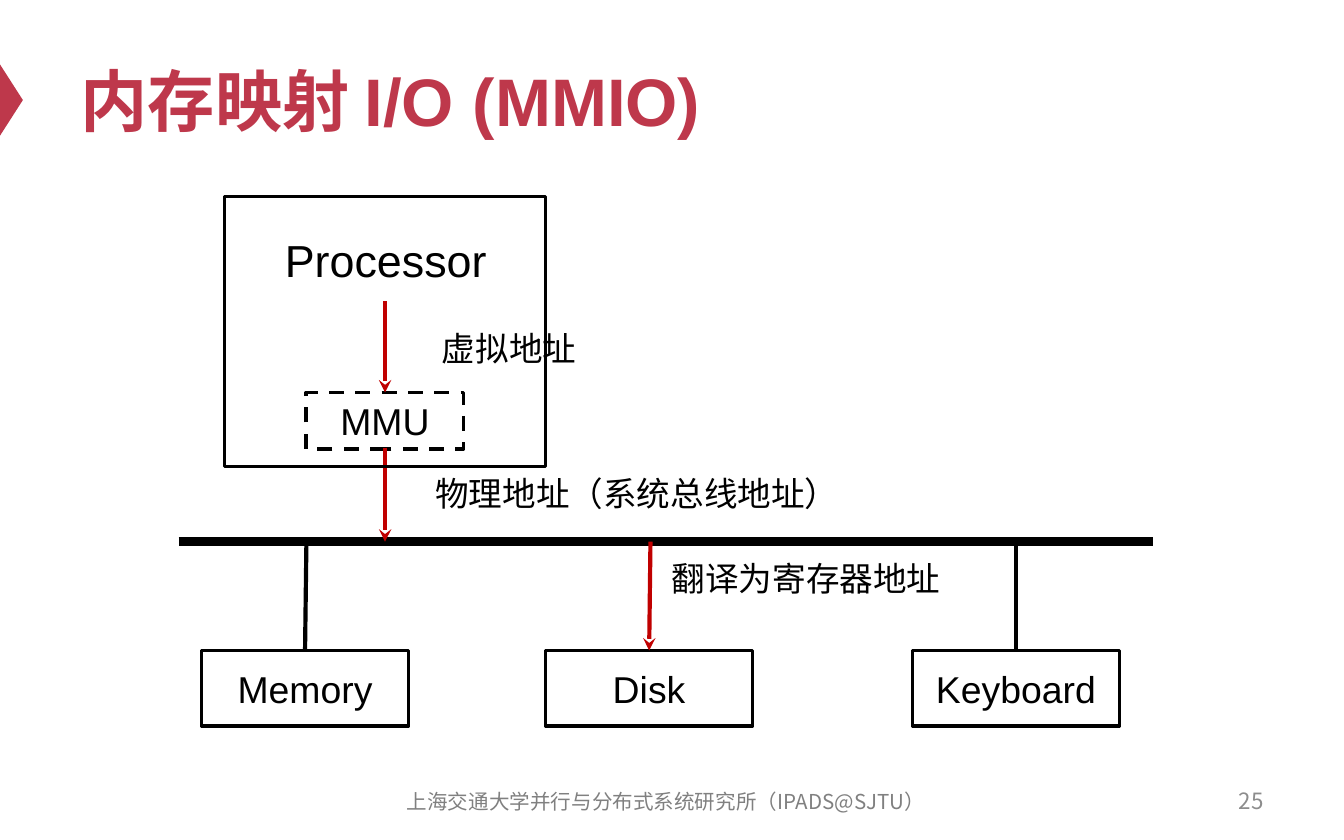
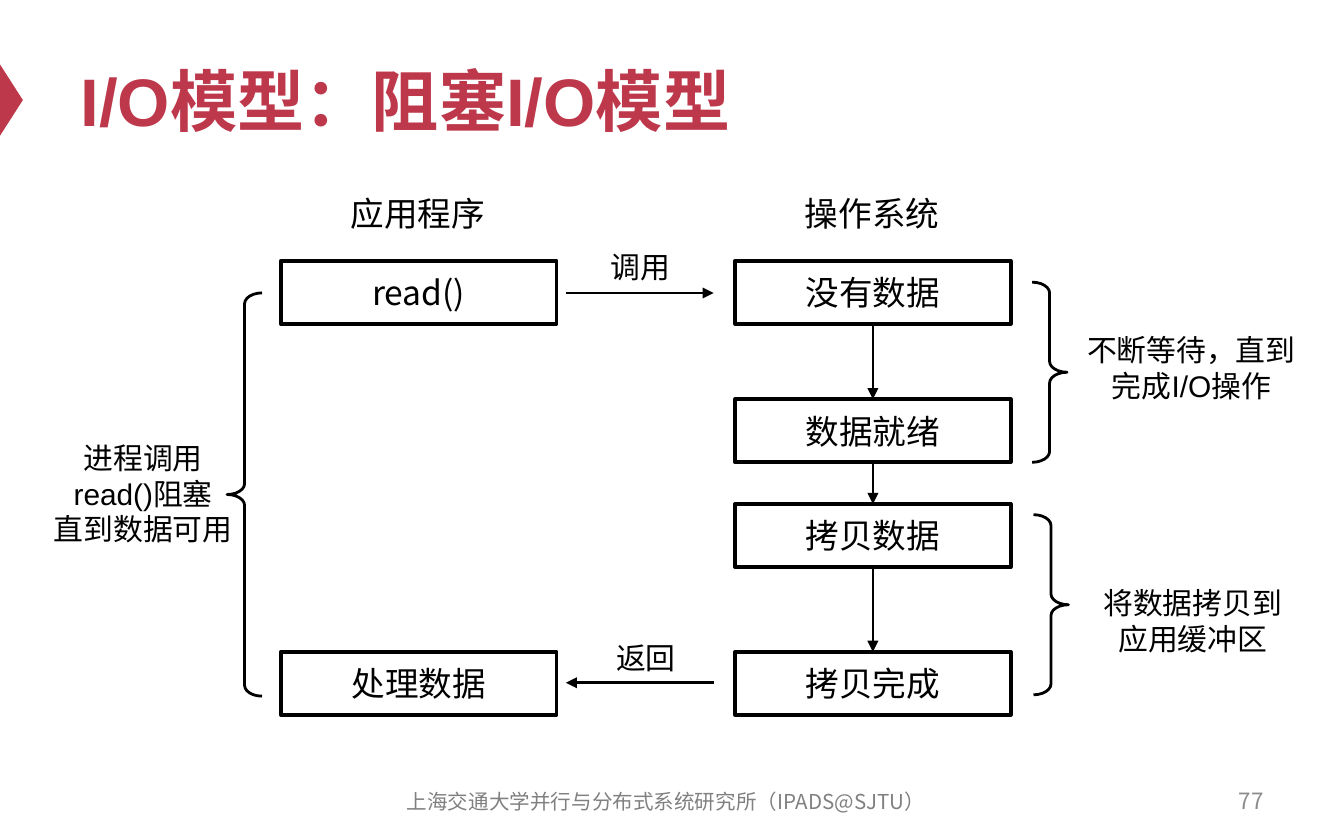
import pptx
import pptx.dml.color
import pptx.enum.dml
import pptx.enum.shapes
import pptx.enum.text
import pptx.oxml
import pptx.oxml.ns
import pptx.util

SHAPE = pptx.enum.shapes.MSO_SHAPE
ALIGN = pptx.enum.text.PP_ALIGN
ANCHOR = pptx.enum.text.MSO_ANCHOR

# The slide is a grid of square cells, 100 columns by 62.5 rows
CELL = 0.1
COLUMNS, ROWS = 100, 62.5

LATIN, CHINESE = "Arial", "Noto Sans CJK SC"
CRIMSON, RED, BLACK, WHITE = "BE384B", "C00000", "000000", "FFFFFF"
FOOTER_GRAY, NUMBER_GRAY = "808080", "8C8C8C"
FOOTER = "上海交通大学并行与分布式系统研究所（IPADS@SJTU）"


def cells(count):
    return pptx.util.Inches(count * CELL)


def paint(color_format, color):
    color_format.rgb = pptx.dml.color.RGBColor.from_string(color)


def add_xml(parent, tag, **attributes):
    element = pptx.oxml.parse_xml(f"<a:{tag} {pptx.oxml.ns.nsdecls('a')}/>")
    for name, value in attributes.items():
        element.set(name, value)
    parent.append(element)


def write(frame, text, size=18, color=BLACK, font=LATIN, bold=False,
          align=ALIGN.LEFT, anchor=ANCHOR.TOP, wrap=True):
    """Fill a text frame, one paragraph for each line of text."""
    frame.text = text
    frame.word_wrap = wrap
    frame.auto_size = pptx.enum.text.MSO_AUTO_SIZE.NONE
    frame.vertical_anchor = anchor
    for paragraph in frame.paragraphs:
        paragraph.alignment = align
        for run in paragraph.runs:
            run.font.size = pptx.util.Pt(size)
            run.font.bold = bold
            run.font.name = font
            paint(run.font.color, color)
            add_xml(run.font._element, "ea", typeface=CHINESE)


class Deck:
    """Holds the shared style and the slide being drawn."""

    def __init__(self):
        self.presentation = pptx.Presentation()
        self.presentation.slide_width = cells(COLUMNS)
        self.presentation.slide_height = cells(ROWS)
        self.slide = None

    def start(self, title, number):
        layout = self.presentation.slide_layouts[5]
        self.slide = self.presentation.slides.add_slide(layout)
        marker = self.shape(SHAPE.ISOSCELES_TRIANGLE, -1.8, 6.6, 5.3, 1.7, fill=CRIMSON)
        marker.rotation = 90
        heading = self.slide.shapes.title
        heading.left, heading.top = cells(5), cells(2.5)
        heading.width, heading.height = cells(90), cells(9.8)
        write(heading.text_frame, title, size=36, color=CRIMSON, bold=True,
              anchor=ANCHOR.MIDDLE)
        self.text(71.7, 57.9, 23.3, 3.3, str(number), size=12, color=NUMBER_GRAY,
                  font=CHINESE, align=ALIGN.RIGHT, anchor=ANCHOR.MIDDLE)
        self.text(27.9, 58, 43.3, 3.3, FOOTER, size=11, color=FOOTER_GRAY,
                  font=CHINESE, align=ALIGN.CENTER, anchor=ANCHOR.MIDDLE)

    def shape(self, kind, left, top, width, height, fill=None, line=None, dash=None):
        shape = self.slide.shapes.add_shape(
            kind, cells(left), cells(top), cells(width), cells(height))
        shape.shadow.inherit = False
        if fill:
            shape.fill.solid()
            paint(shape.fill.fore_color, fill)
        else:
            shape.fill.background()
        if line:
            paint(shape.line.color, BLACK)
            shape.line.width = pptx.util.Pt(line)
            if dash:
                shape.line.dash_style = dash
        else:
            shape.line.fill.background()
        return shape

    def box(self, left, top, width, height, text, line=2, dash=None, **style):
        box = self.shape(SHAPE.RECTANGLE, left, top, width, height, WHITE, line, dash)
        write(box.text_frame, text, align=ALIGN.CENTER, anchor=ANCHOR.MIDDLE, **style)

    def text(self, left, top, width, height, text, **style):
        box = self.slide.shapes.add_textbox(
            cells(left), cells(top), cells(width), cells(height))
        write(box.text_frame, text, **style)

    def note(self, left, top, width, height, text):
        self.text(left, top, width, height, text, size=16, align=ALIGN.CENTER, wrap=False)

    def brace(self, kind, left, top, height):
        brace = self.shape(kind, left, top, 2.6, height, line=1.5)
        brace.adjustments[0], brace.adjustments[1] = 0.31, 0.5

    def line(self, start, end, width=1.5, color=BLACK, head=None):
        connector = self.slide.shapes.add_connector(
            pptx.enum.shapes.MSO_CONNECTOR.STRAIGHT, *map(cells, start + end))
        paint(connector.line.color, color)
        connector.line.width = pptx.util.Pt(width)
        properties = connector._element.spPr
        if head:
            add_xml(properties.find(pptx.oxml.ns.qn("a:ln")), "tailEnd", type=head)
        add_xml(properties, "effectLst")


def draw_memory_mapping(deck):
    deck.start("内存映射 I/O (MMIO)", 25)
    bus, device_top = 40.3, 48.4

    # Processor, MMU and system bus
    deck.box(19.1, 16.2, 19.2, 6.2, "Processor", line=None, size=24)
    deck.line((13.3, bus), (85.8, bus), width=4.5)
    deck.box(22.8, 29.2, 11.7, 4.2, "MMU", size=20,
             dash=pptx.enum.dml.MSO_LINE.DASH)

    # Devices
    for left, name in ((15, "Memory"), (40.6, "Disk"), (67.9, "Keyboard")):
        deck.box(left, device_top, 15.4, 5.6, name, size=20)
    for top_x, bottom_x in ((22.8, 22.7), (75.6, 75.6)):
        deck.line((top_x, bus), (bottom_x, device_top), width=2.25)

    # Route of an address
    for start, end in (((28.65, 22.4), (28.65, 29.2)), ((28.65, 33.3), (28.65, bus)),
                       ((48.4, bus), (48.3, device_top))):
        deck.line(start, end, width=2.25, color=RED, head="stealth")
    for left, top, width, label in ((31.9, 23.9, 20.7, "虚拟地址"),
                                    (31.4, 34.7, 48.6, "物理地址（系统总线地址）"),
                                    (49, 41, 24.3, "翻译为寄存器地址")):
        deck.text(left, top, width, 4, label)

    # Outline of the processor
    deck.shape(SHAPE.RECTANGLE, 16.7, 14.6, 23.9, 20.1, line=1.5)


def draw_blocking_model(deck):
    deck.start("I/O模型：阻塞I/O模型", 77)
    program, system = 20.9, 54.7
    width, height = 20.5, 4.7
    tops = (19.4, 29.7, 37.5, 48.5)

    # Steps of the program and of the system
    for left, name in ((program, "应用程序"), (system, "操作系统")):
        deck.text(left + 4.2, 13.9, 12.1, 4, name, wrap=False)
    steps = [(program, tops[0], "read()"), (program, tops[-1], "处理数据")]
    steps += [(system, top, step) for top, step in
              zip(tops, ("没有数据", "数据就绪", "拷贝数据", "拷贝完成"))]
    for left, top, step in steps:
        deck.box(left, top, width, height, step, font=CHINESE)

    # Flow within the system, then call and return
    middle = system + width / 2
    for upper, lower in zip(tops, tops[1:]):
        deck.line((middle, upper + height), (middle, lower), head="triangle")
    deck.line((42.1, 21.8), (53.1, 21.8), head="triangle")
    deck.line((53.1, 50.8), (42.1, 50.8), head="triangle")
    deck.note(44.4, 18, 6.5, 3.7, "调用")
    deck.note(44.8, 47.1, 6.5, 3.7, "返回")

    # Braces with their notes
    deck.brace(SHAPE.RIGHT_BRACE, 76.8, 21, 13.4)
    deck.brace(SHAPE.RIGHT_BRACE, 76.9, 38.3, 13.4)
    deck.brace(SHAPE.LEFT_BRACE, 16.9, 21.8, 30)
    deck.note(79.8, 24.2, 17.7, 6.4, "不断等待，直到\n完成I/O操作")
    deck.note(81, 43, 15.5, 6.4, "将数据拷贝到\n应用缓冲区")
    deck.note(2.9, 32.2, 15.5, 9.1, "进程调用\nread()阻塞\n直到数据可用")


def main():
    deck = Deck()
    draw_memory_mapping(deck)
    draw_blocking_model(deck)
    deck.presentation.save("out.pptx")


if __name__ == "__main__":
    main()
